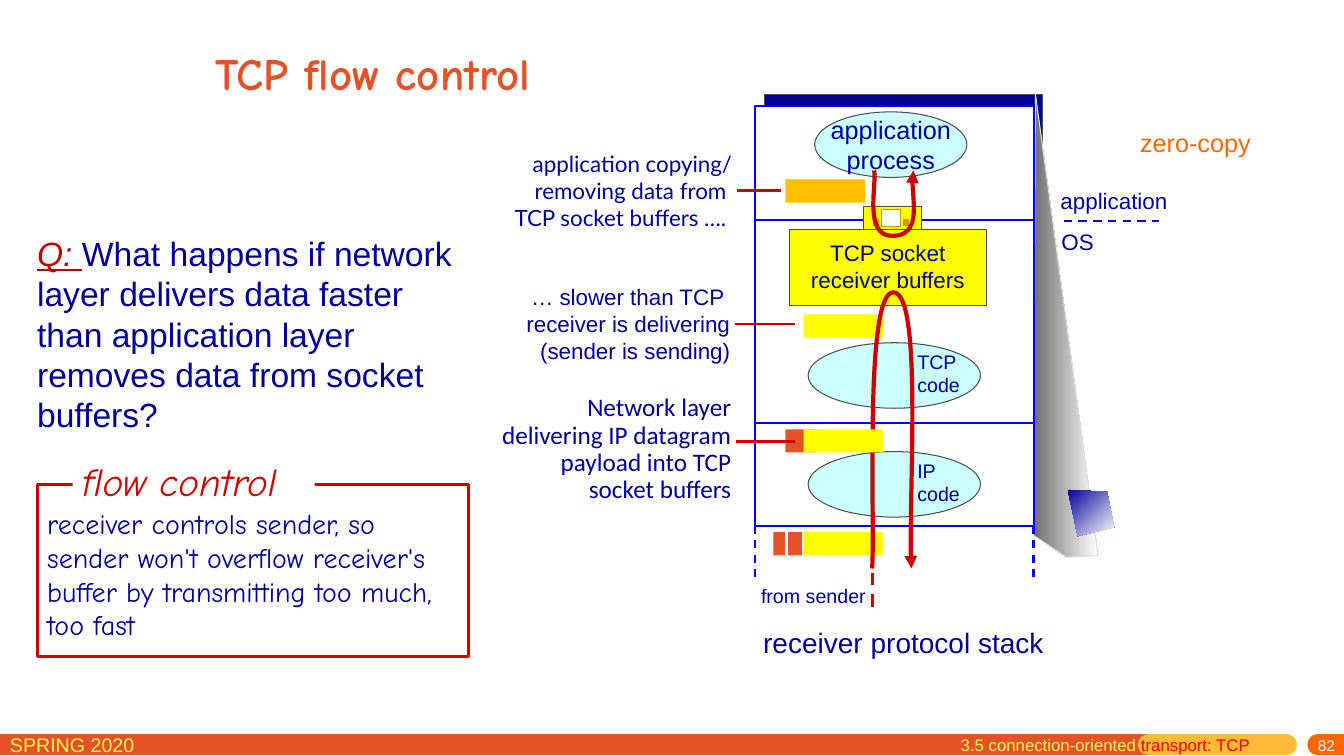
from dataclasses import dataclass

from lxml.etree import SubElement
from pptx import Presentation
from pptx.dml.color import RGBColor
from pptx.enum.dml import MSO_LINE
from pptx.enum.shapes import MSO_CONNECTOR, MSO_SHAPE
from pptx.enum.text import MSO_ANCHOR, PP_ALIGN
from pptx.oxml.ns import qn
from pptx.util import Inches, Pt

NAVY = RGBColor(0x00, 0x00, 0x99)
BLUE = RGBColor(0x00, 0x00, 0xFF)
RED = RGBColor(0xCC, 0x00, 0x00)
DARK_RED = RGBColor(0xC0, 0x00, 0x00)
BRIGHT_RED = RGBColor(0xFF, 0x00, 0x00)
RUST = RGBColor(0xE4, 0x53, 0x27)
ORANGE = RGBColor(0xFF, 0x66, 0x00)
AMBER = RGBColor(0xFF, 0xC0, 0x00)
GOLD = RGBColor(0xFF, 0xBA, 0x37)
OCHRE = RGBColor(0xCC, 0x99, 0x00)
YELLOW = RGBColor(0xFF, 0xFF, 0x00)
LEMON = RGBColor(0xFF, 0xF6, 0x5C)
CYAN = RGBColor(0xCC, 0xFF, 0xFF)
WHITE = RGBColor(0xFF, 0xFF, 0xFF)
SILVER = RGBColor(0xDD, 0xDD, 0xDD)
GRAY = RGBColor(0x6E, 0x6E, 0x6E)
CHARCOAL = RGBColor(0x4C, 0x4C, 0x4C)
CELL = 0.1


def grid(count):
    """Turn a number of grid columns or rows into a length."""
    return Inches(count * CELL)


def write(frame, text, lead=None, size=16, font="Arial", color=NAVY, bold=False,
          italic=False, align=PP_ALIGN.LEFT, anchor=MSO_ANCHOR.TOP, wrap=False, spacing=None):
    """Fill a text frame, one paragraph per line, after an optional styled lead."""
    frame.word_wrap = wrap
    frame.vertical_anchor = anchor
    for index, line in enumerate(text.split("\n")):
        para = frame.add_paragraph() if index else frame.paragraphs[0]
        para.alignment = align
        para.line_spacing = spacing
        if lead and not index:
            opening, tint, marked = lead
            span = para.add_run()
            span.text = opening
            span.font.name, span.font.size = font, Pt(size)
            span.font.color.rgb = tint
            span.font.italic = span.font.underline = marked
        span = para.add_run()
        span.text = line
        span.font.name, span.font.size = font, Pt(size)
        span.font.bold, span.font.italic = bold, italic
        span.font.color.rgb = color


@dataclass
class Region:
    """Part of the page whose contents are placed from its top left corner."""
    page: object
    left: float
    top: float
    width: float
    height: float

    def point(self, column, row):
        """Return the place on the page of a grid point of the region."""
        return grid(self.left + column), grid(self.top + row)

    def text(self, column, row, width, height, words, **style):
        """Add a text box."""
        box = self.page.shapes.add_textbox(*self.point(column, row), grid(width), grid(height))
        write(box.text_frame, words, **style)

    def shape(self, column, row, width, height, fill, edge=None, weight=0.75,
              kind=MSO_SHAPE.RECTANGLE):
        """Add a preset shape, outlined when an edge colour is given."""
        shape = self.page.shapes.add_shape(
            kind, *self.point(column, row), grid(width), grid(height))
        shape.shadow.inherit = False
        shape.fill.solid()
        shape.fill.fore_color.rgb = fill
        if edge is None:
            shape.line.fill.background()
        else:
            shape.line.color.rgb = edge
            shape.line.width = Pt(weight)
        return shape

    def line(self, start, end, color, weight=1.5, dashed=False, cap="flat"):
        """Add a straight line between two grid points."""
        line = self.page.shapes.add_connector(
            MSO_CONNECTOR.STRAIGHT, *self.point(*start), *self.point(*end))
        line.line.color.rgb = color
        line.line.width = Pt(weight)
        if dashed:
            line.line.dash_style = MSO_LINE.DASH
        line.element.xpath(".//a:ln")[0].set("cap", cap)
        SubElement(line.element.spPr, qn("a:effectLst"))

    def outline(self, points, closed):
        """Add a freeform through grid points."""
        places = [self.point(*point) for point in points]
        builder = self.page.shapes.build_freeform(*places[0])
        builder.add_line_segments(places[1:], close=closed)
        shape = builder.convert_to_shape()
        shape.shadow.inherit = False
        return shape

    def shaded(self, points, colors, angle, edge=None):
        """Add a polygon with a two-colour gradient."""
        shape = self.outline(points, True)
        shape.fill.gradient()
        shape.fill.gradient_angle = angle
        for stop, color in zip(shape.fill.gradient_stops, colors):
            stop.color.rgb = color
        if edge is None:
            shape.line.fill.background()
        else:
            shape.line.color.rgb = edge
            shape.line.width = Pt(0.75)

    def curve(self, points, arrow_end):
        """Add a Bézier curve with an arrowhead at its headEnd or tailEnd."""
        shape = self.outline(points, False)
        shape.fill.background()
        shape.line.color.rgb = RED
        shape.line.width = Pt(3)
        steps = shape.element.xpath(".//a:lnTo")
        track = steps[0].getparent()
        for first in range(0, len(steps), 3):
            bend = SubElement(track, qn("a:cubicBezTo"))
            for step in steps[first:first + 3]:
                bend.append(step[0])
                track.remove(step)
        SubElement(shape.element.xpath(".//a:ln")[0], qn("a:" + arrow_end), type="triangle")


def draw_footer(area):
    """Draw the footer bars with term, section and page number."""
    for start, end, color, cap in ((0, 113.9, RUST, "flat"), (113.9, 127.6, GOLD, "rnd"),
                                   (130.7, area.width, ORANGE, "rnd")):
        area.line((start, 1.7), (end, 1.7), color, 15, cap=cap)
    area.text(0, 0, 22.9, 3.1, "SPRING 2020", size=14, color=LEMON)
    area.text(94.3, 0.2, 31.1, 3.1, "transport: TCP", size=12, color=BRIGHT_RED,
              lead=("3.5 connection-oriented ", LEMON, False))
    area.text(107.5, 0.8, 25.9, 1.8, "82", size=11, color=WHITE,
              align=PP_ALIGN.RIGHT, anchor=MSO_ANCHOR.MIDDLE)


def draw_question(area):
    """Write the question and the boxed definition below it."""
    area.text(0, 0, area.width, 21.2,
              "What happens if network layer delivers data faster than application layer "
              "removes data from socket buffers?",
              lead=("Q: ", DARK_RED, True), size=24, wrap=True)
    area.shape(1, 25.5, 42.8, 17, WHITE, RED, 2.25)
    area.text(1, 27.2, 43.1, 14.5,
              "receiver controls sender, so sender won't overflow receiver's buffer by "
              "transmitting too much, too fast", size=20, font="Comic Neue", wrap=True)
    heading = area.shape(4.5, 22.3, 24, 5.7, WHITE)
    write(heading.text_frame, "flow control", size=28, font="Comic Neue", color=RED, italic=True)


def draw_backdrop(area):
    """Draw the shadow, the slanted side and the front of the stack."""
    area.shape(0.9, -1.1, 27.6, 42.2, NAVY, CHARCOAL)
    area.shaded([(34, 44.6), (27.8, -1.2), (27.6, 42.6), (30.9, 44.8)],
                (GRAY, WHITE), 0, SILVER)
    area.shape(0, 0, area.width, area.height, WHITE, BLUE, 1.5)


def draw_packet(area, row, headers=0, left=4.8, color=YELLOW):
    """Draw a data packet with up to two headers before its payload."""
    starts = (3, 1.8)[:headers]
    if headers:
        area.shape(starts[-1] if headers == 1 else 1.8, row, 3.1, 2.3, RUST)
    if headers == 2:
        for column in (3.1, 4.8):
            area.line((column, row), (column, row + 2.3), WHITE, 2.25)
    area.shape(left, row, 7.9, 2.3, color)


def draw_stack(area):
    """Draw the receiver protocol stack, its packets and the data flow."""
    draw_backdrop(area)
    process = area.shape(5.9, 0.6, 15.1, 6.5, CYAN, CHARCOAL, kind=MSO_SHAPE.OVAL)
    write(process.text_frame, "application\nprocess", size=18,
          align=PP_ALIGN.CENTER, anchor=MSO_ANCHOR.MIDDLE)
    area.shape(3.4, 12.3, 19.6, 7.5, YELLOW, CHARCOAL)
    area.text(4.4, 12.7, 17.5, 6.4, "TCP socket\nreceiver buffers", align=PP_ALIGN.CENTER)
    for name, row in (("TCP", 23.5), ("IP", 34.3)):
        area.shape(5.25, row, 17.1, 6.5, CYAN, CHARCOAL, kind=MSO_SHAPE.OVAL)
        area.text(15.1, row + 0.2, 6.3, 5.7, name + "\ncode", size=14)
    for row in (31.5, 11.3):
        area.line((0, row), (area.width, row), BLUE)
    area.shape(10.7, 10, 5.8, 2.3, YELLOW, CHARCOAL)
    area.shape(12.5, 10.3, 1.9, 1.7, WHITE, OCHRE)
    for column in (11.7, 14.7):
        area.shape(column, 11.3, 0.5, 0.6, OCHRE, OCHRE)
    area.curve([(15.7, 6.4), (15.3, 7.5), (16.5, 12.9), (13.6, 12.9),
                (10.7, 12.9), (12.1, 7.7), (11.8, 6.4)], "headEnd")
    draw_packet(area, 20.7)
    draw_packet(area, 42.3, headers=2)
    area.line((11.6, 46.3), (11.6, 50.1), RED, 2.25, dashed=True)
    area.curve([(11.6, 45.9), (11.9, 41.3), (10.8, 18.5), (13.7, 18.5),
                (16.6, 18.5), (15.1, 40.2), (15.5, 45.9)], "tailEnd")
    area.text(-0.4, 46.9, 12.4, 3.3, "from sender", size=14)
    area.text(-0.2, 51.1, 30.1, 4.4, "receiver protocol stack", size=20)
    for column in (0, 27.6):
        area.line((column, 41.6), (column, 46.7), BLUE, dashed=True)
    area.shaded([(31, 38.1), (34.9, 38.3), (35.6, 41.8), (32, 42.7)], (NAVY, WHITE), 315)
    draw_packet(area, 7.3, left=3, color=AMBER)
    draw_packet(area, 32.1, headers=1)


def draw_boundary(area):
    """Mark the border between application and OS, and name the remedy."""
    area.text(0, 6, 12.7, 3.7, "application")
    area.line((1.3, 9.8), (10.8, 9.8), BLUE, dashed=True)
    area.text(0.1, 10, 5.3, 3.7, "OS")
    area.text(7.9, 0, 16.7, 4, "zero-copy", size=18, color=ORANGE, wrap=True)


def draw_notes(area):
    """Write the notes beside the stack, each with its leader line."""
    notes = (
        (0, 34.9, 9, 4.5, 34.4, 4.4, "Lato", 16, None,
         "application copying/\nremoving data from \nTCP socket buffers …. "),
        (11.9, 22.8, 9, 17.7, 34.2, 6, "Arial", 16, None,
         "… slower than TCP \nreceiver is delivering\n(sender is sending)"),
        (9.3, 25.5, 11.9, 29.4, 34.3, 5.9, "Calibri", 18, 0.9,
         "Network layer delivering IP datagram payload into TCP socket buffers"))
    rows = (0, 13.2, 24.3)
    for row, note in zip(rows, notes):
        column, width, height, leader, start, length, font, size, spacing, words = note
        area.text(column, row, width, height, words, font=font, size=size,
                  spacing=spacing, align=PP_ALIGN.RIGHT, wrap=True)
        area.line((start, leader), (start + length, leader), RED)


def main():
    """Build the deck and save it."""
    deck = Presentation()
    deck.slide_width, deck.slide_height = Inches(13.33), Inches(7.5)
    page = deck.slides.add_slide(deck.slide_layouts[6])
    draw_footer(Region(page, 0, 72.2, 133.3, 2.8))
    Region(page, 20.4, 1.9, 85, 10.7).text(
        0, 0, 85, 10.7, "TCP flow control", size=32, font="Comic Neue", color=RUST,
        bold=True, anchor=MSO_ANCHOR.MIDDLE, wrap=True)
    draw_stack(Region(page, 74.9, 10.5, 27.7, 41.7))
    draw_boundary(Region(page, 104.2, 12.1, 24.6, 13.7))
    draw_notes(Region(page, 38.7, 14.4, 40.2, 36.2))
    draw_question(Region(page, 2.7, 22.6, 43.4, 42.5))
    deck.save("out.pptx")


if __name__ == "__main__":
    main()
